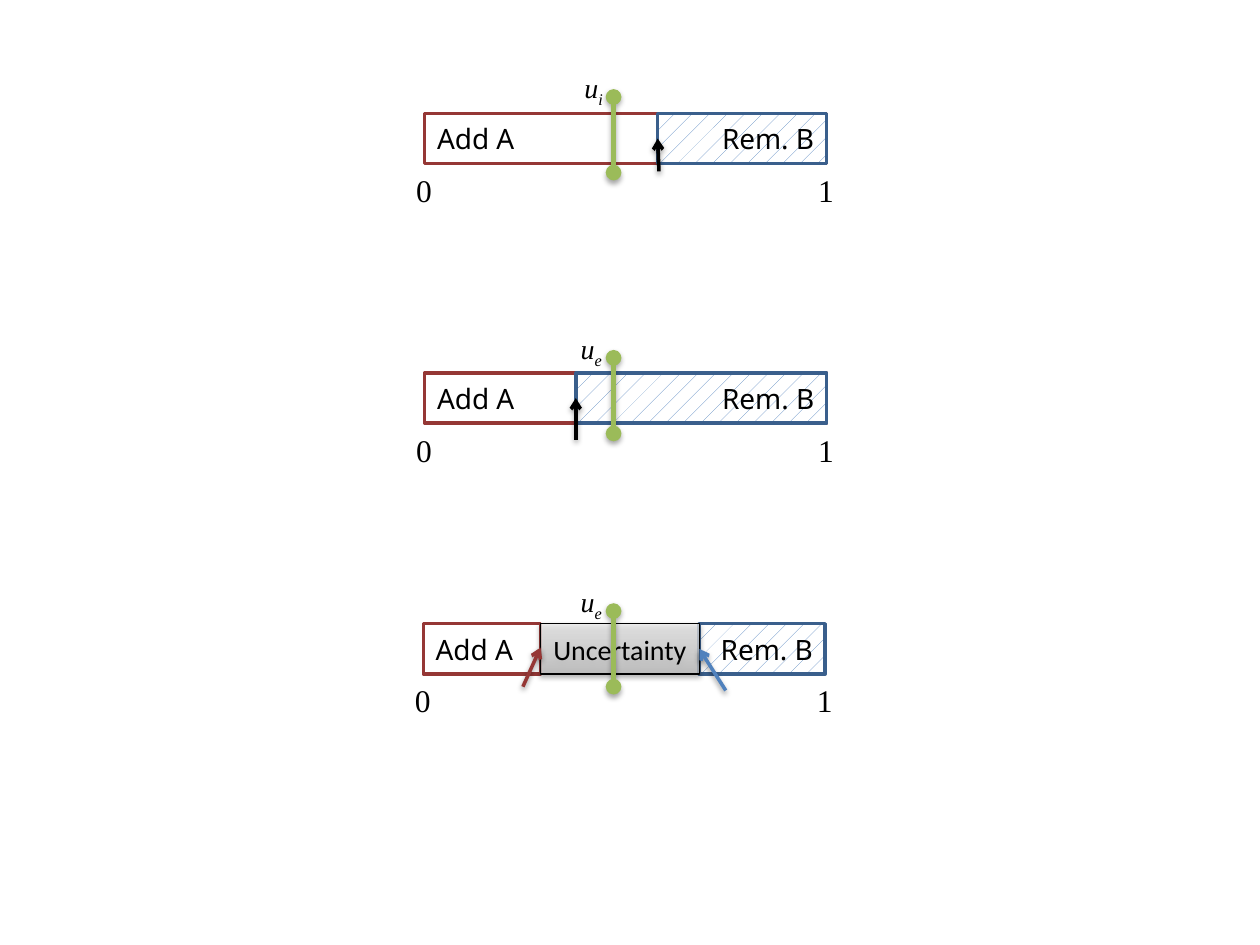
from dataclasses import dataclass

from pptx import Presentation
from pptx.dml.color import RGBColor
from pptx.enum.dml import MSO_PATTERN
from pptx.enum.shapes import MSO_CONNECTOR, MSO_SHAPE
from pptx.enum.text import MSO_ANCHOR, MSO_AUTO_SIZE, PP_ALIGN
from pptx.oxml import parse_xml
from pptx.oxml.ns import nsdecls
from pptx.util import Inches, Pt

LEFT, CENTER, RIGHT = PP_ALIGN.LEFT, PP_ALIGN.CENTER, PP_ALIGN.RIGHT
STRAIGHT, RECTANGLE = MSO_CONNECTOR.STRAIGHT, MSO_SHAPE.RECTANGLE


@dataclass(frozen=True)
class Theme:
    black: str = "000000"
    white: str = "FFFFFF"
    red: str = "953735"
    blue: str = "4F81BD"
    blue_edge: str = "3A5F8C"
    green: str = "9BBB59"
    gray_stops: tuple = ((0, "BDBDBD"), (35, "D1D1D1"), (100, "EEEEEE"))
    gray_alpha: int = 74
    bar_font: str = "Noto Sans"
    uncertainty_font: str = "Calibri"
    math_font: str = "Times New Roman"
    bar_size: int = 16
    scale_size: int = 18


THEME = Theme()

# Interval bars; pointers are (colour, from, to)
INTERVALS = [
    dict(subscript="i", left=3.37, top=0.9, add_end=6.56, remove_start=5.22,
         marker_top=0.77, label_width=0.42,
         pointers=[(THEME.black, (5.23, 1.36), (5.22, 1.1))]),
    dict(subscript="e", left=3.37, top=2.96, add_end=6.56, remove_start=4.57,
         marker_top=2.84, label_width=0.45,
         pointers=[(THEME.black, (4.57, 3.49), (4.57, 3.16))]),
    dict(subscript="e", left=3.36, top=4.95, add_end=4.29, remove_start=5.55,
         marker_top=4.85, label_width=0.45,
         pointers=[(THEME.blue, (5.76, 5.48), (5.55, 5.15)),
                   (THEME.red, (4.15, 5.45), (4.29, 5.14))]),
]
BAR_WIDTH, BAR_HEIGHT = 3.19, 0.4
SCALE_WIDTH, SCALE_GAP = 0.33, 0.41
MARKER_X, MARKER_HEIGHT = 4.87, 0.6
LABEL_RIGHT, LABEL_RISE = 4.96, 0.26


def set_font(font, name, size, italic=None):
    font.name, font.size, font.italic = name, Pt(size), italic
    font.color.rgb = RGBColor.from_string(THEME.black)


def set_line(line, color, width):
    line.color.rgb = RGBColor.from_string(color)
    line.width = Pt(width)


def set_shadow(shape, alpha=None, distance=1.6):
    """Replace the theme effects: a soft drop shadow, or none without alpha."""
    shadow = "" if alpha is None else (
        f'<a:outerShdw blurRad="{Pt(3.1)}" dist="{Pt(distance)}" dir="5400000" rotWithShape="0">'
        f'<a:srgbClr val="{THEME.black}"><a:alpha val="{alpha * 1000}"/></a:srgbClr></a:outerShdw>')
    shape._element.spPr.append(parse_xml(
        f'<a:effectLst {nsdecls("a")}>{shadow}</a:effectLst>'))


def add_bar(shapes, text, left, right, top, align, edge, width=2, font=THEME.bar_font):
    bar = shapes.add_shape(RECTANGLE, Inches(left), Inches(top),
                           Inches(right - left), Inches(BAR_HEIGHT))
    set_line(bar.line, edge, width)
    frame = bar.text_frame
    frame.vertical_anchor = MSO_ANCHOR.MIDDLE
    paragraph = frame.paragraphs[0]
    paragraph.text, paragraph.alignment = text, align
    set_font(paragraph.font, font, THEME.bar_size)
    return bar


def add_add_bar(shapes, left, right, top):
    bar = add_bar(shapes, "Add A", left, right, top, LEFT, THEME.red)
    bar.fill.background()
    set_shadow(bar)


def add_remove_bar(shapes, left, right, top):
    bar = add_bar(shapes, "Rem. B", left, right, top, RIGHT, THEME.blue_edge)
    bar.fill.patterned()
    bar.fill.pattern = MSO_PATTERN.PERCENT_5
    bar.fill.fore_color.rgb = RGBColor.from_string(THEME.blue)
    bar.fill.back_color.rgb = RGBColor.from_string(THEME.white)
    set_shadow(bar)


def add_uncertainty_bar(shapes, left, right, top):
    bar = add_bar(shapes, "Uncertainty", left, right, top, CENTER,
                  THEME.black, 0.75, THEME.uncertainty_font)
    stops = "".join(
        f'<a:gs pos="{position * 1000}"><a:srgbClr val="{color}">'
        f'<a:alpha val="{THEME.gray_alpha * 1000}"/></a:srgbClr></a:gs>'
        for position, color in THEME.gray_stops)
    gradient = parse_xml(f'<a:gradFill {nsdecls("a")} rotWithShape="1"><a:gsLst>{stops}</a:gsLst>'
                         '<a:lin ang="16200000" scaled="0"/></a:gradFill>')
    bar.line._ln.addprevious(gradient)
    set_shadow(bar, 38)


def add_label(shapes, parts, left, top, width, height, size, italic=None):
    """Add a label; a second part becomes a subscript."""
    label = shapes.add_textbox(Inches(left), Inches(top), Inches(width), Inches(height))
    frame = label.text_frame
    frame.word_wrap = False
    frame.auto_size = MSO_AUTO_SIZE.SHAPE_TO_FIT_TEXT
    paragraph = frame.paragraphs[0]
    set_font(paragraph.font, THEME.math_font, size, italic)
    for index, part in enumerate(parts):
        run = paragraph.add_run()
        run.text = part
        if index:
            run.font._element.set("baseline", "-25000")


def add_line(shapes, start, end, color, width, ends, alpha, distance):
    """Draw a line; ends maps headEnd and tailEnd to their types."""
    line = shapes.add_connector(STRAIGHT, *(Inches(value) for value in (*start, *end)))
    set_line(line.line, color, width)
    for tag, kind in ends.items():
        line.line._ln.append(parse_xml(f'<a:{tag} {nsdecls("a")} type="{kind}"/>'))
    set_shadow(line, alpha, distance)


def add_interval(slide, interval):
    shapes = slide.shapes.add_group_shape().shapes
    left, top = interval["left"], interval["top"]
    add_end, remove_start = interval["add_end"], interval["remove_start"]
    right = left + BAR_WIDTH

    add_add_bar(shapes, left, add_end, top)
    add_remove_bar(shapes, remove_start, right, top)
    if add_end < remove_start:
        add_uncertainty_bar(shapes, add_end, remove_start, top)

    for number, x in (("0", left), ("1", right)):
        add_label(shapes, [number], x - SCALE_WIDTH / 2, top + SCALE_GAP,
                  SCALE_WIDTH, 0.4, THEME.scale_size)

    for color, start, end in interval["pointers"]:
        add_line(shapes, start, end, color, 2, {"tailEnd": "arrow"}, 38, 1.6)

    marker_top, label_width = interval["marker_top"], interval["label_width"]
    add_label(shapes, ["u", interval["subscript"]], LABEL_RIGHT - label_width,
              marker_top - LABEL_RISE, label_width, 0.37, THEME.bar_size, True)
    add_line(shapes, (MARKER_X, marker_top + MARKER_HEIGHT), (MARKER_X, marker_top),
             THEME.green, 3, {"headEnd": "oval", "tailEnd": "oval"}, 35, 1.8)


def main():
    presentation = Presentation()
    presentation.slide_width, presentation.slide_height = Inches(10), Inches(7.5)
    slide = presentation.slides.add_slide(presentation.slide_layouts[6])
    for interval in INTERVALS:
        add_interval(slide, interval)
    presentation.save("out.pptx")


if __name__ == "__main__":
    main()
